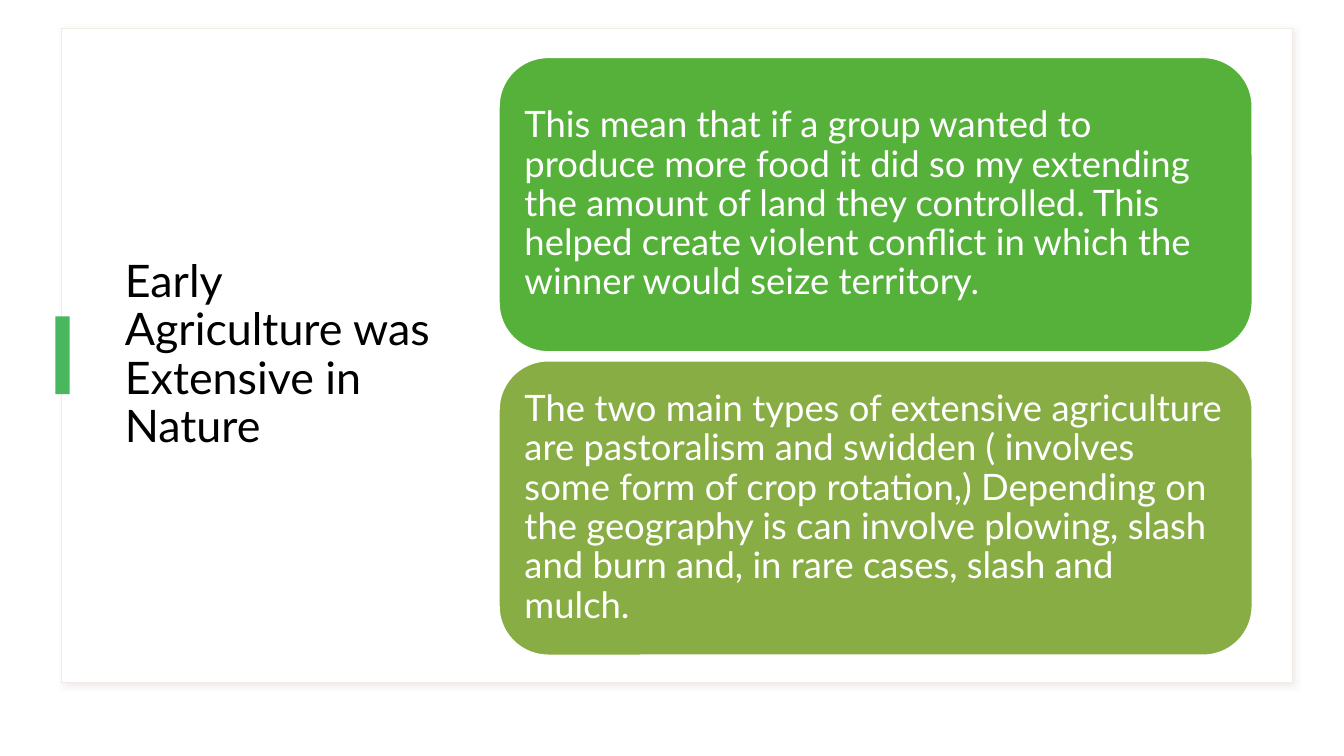
from lxml.etree import SubElement
from pptx import Presentation
from pptx.dml.color import RGBColor
from pptx.enum.shapes import MSO_SHAPE as Shape
from pptx.enum.text import MSO_ANCHOR as Anchor, PP_ALIGN as Align
from pptx.oxml.ns import qn
from pptx.util import Inches, Pt

FONT = "Lato"
WHITE = RGBColor(0xFF, 0xFF, 0xFF)
BLACK = RGBColor(0x00, 0x00, 0x00)
FRAME_LINE = RGBColor(0xF0, 0xEB, 0xE5)
FRAME_SHADOW = RGBColor(0xCA, 0xBC, 0xC7)
ACCENT = RGBColor(0x48, 0xB7, 0x5D)
GREEN = RGBColor(0x56, 0xB1, 0x3B)
OLIVE = RGBColor(0x88, 0xAD, 0x44)

TITLE = "Early Agriculture was Extensive in Nature"
CARDS = [
    ("This mean that if a group wanted to produce more food it did so my "
     "extending the amount of land they controlled. This helped create "
     "violent conflict in which the winner would seize territory.", GREEN),
    ("The two main types of extensive agriculture are pastoralism and "
     "swidden ( involves some form of crop rotation,) Depending on the "
     "geography is can involve plowing, slash and burn and, in rare cases, "
     "slash and mulch.", OLIVE),
]


def add_block(page, kind, box, fill, line=None):
    """Add a filled shape without a shadow; box is in inches."""
    block = page.shapes.add_shape(kind, *map(Inches, box))
    block.shadow.inherit = False
    block.fill.solid()
    block.fill.fore_color.rgb = fill
    if line is None:
        block.line.fill.background()
    else:
        block.line.color.rgb = line
        block.line.width = Pt(1)
    return block


def write(shape, text, size, color, inset):
    frame = shape.text_frame
    margins = dict.fromkeys(
        ("margin_left", "margin_right", "margin_top", "margin_bottom"), Inches(inset))
    frame_format = {"word_wrap": True, "vertical_anchor": Anchor.MIDDLE, **margins}
    for name, value in frame_format.items():
        setattr(frame, name, value)
    para = frame.paragraphs[0]
    para.alignment = Align.LEFT
    para.line_spacing = 0.9
    span = para.add_run()
    span.text = text
    for name, value in {"name": FONT, "size": Pt(size)}.items():
        setattr(span.font, name, value)
    span.font.color.rgb = color


def add_soft_shadow(shape, color):
    effects = shape._element.spPr.find(qn("a:effectLst"))
    shadow = SubElement(effects, qn("a:outerShdw"), blurRad=str(Pt(4)),
                        dist=str(Pt(3)), dir=str(45 * 60000), algn="tl")
    tint = SubElement(shadow, qn("a:srgbClr"), val=str(color))
    SubElement(tint, qn("a:alpha"), val="30000")


def add_frame(page, box):
    """Draw the outlined panel with the accent bar over its left edge."""
    left, top, width, height = box
    panel = add_block(page, Shape.RECTANGLE, box, WHITE, FRAME_LINE)
    add_soft_shadow(panel, FRAME_SHADOW)
    bar_width, bar_height = 0.14, 0.77
    bar = (left - bar_width / 2 + 0.01, top + (height - bar_height) / 2,
           bar_width, bar_height)
    add_block(page, Shape.RECTANGLE, bar, ACCENT)


def add_title(page, box):
    write(page.shapes.add_textbox(*map(Inches, box)), TITLE, 32, BLACK, 0.1)


def add_cards(page, box, gap=0.09):
    """Stack the cards in equal heights."""
    left, top, width, height = box
    card_height = (height - gap * (len(CARDS) - 1)) / len(CARDS)
    for index, (text, fill) in enumerate(CARDS):
        card_top = top + index * (card_height + gap)
        card = add_block(page, Shape.ROUNDED_RECTANGLE,
                         (left, card_top, width, card_height), fill, WHITE)
        write(card, text, 26, WHITE, 0.11)


def main():
    deck = Presentation()
    deck.slide_width, deck.slide_height = Inches(13.33), Inches(7.5)
    page = deck.slides.add_slide(deck.slide_layouts[6])
    add_frame(page, (0.61, 0.28, 12.21, 6.49))
    add_title(page, (1.14, 0.55, 3.27, 5.95))
    add_cards(page, (4.95, 0.57, 7.47, 5.93))
    deck.save("out.pptx")


if __name__ == "__main__":
    main()
